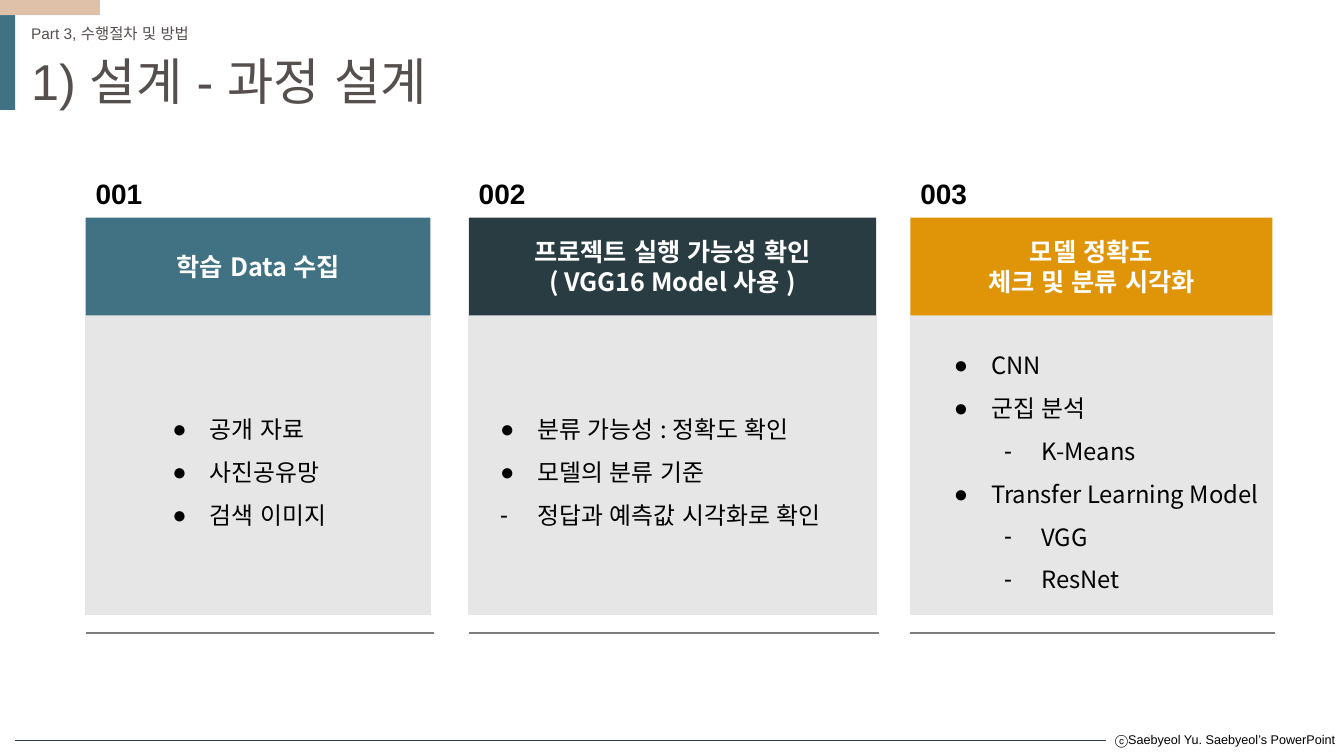
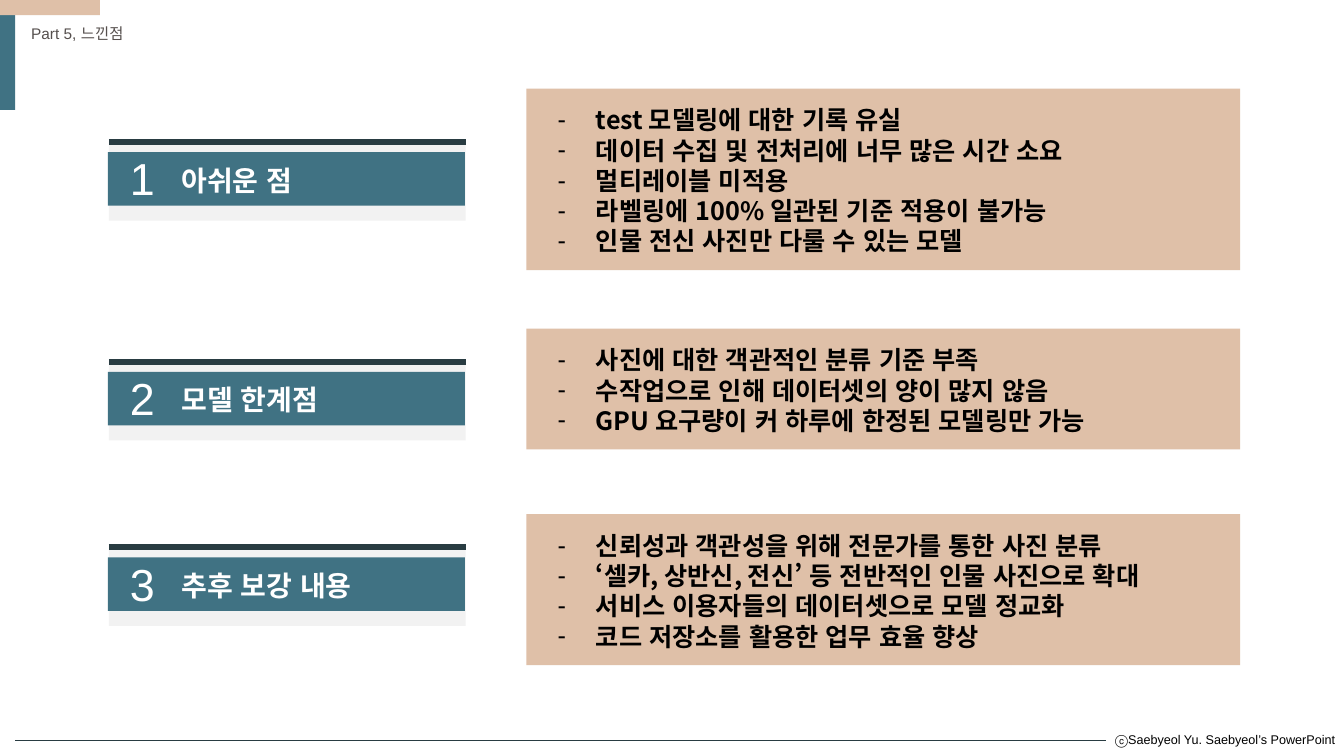
from lxml import etree
from pptx import Presentation, util as u
from pptx.dml.color import RGBColor
from pptx.enum import lang, shapes, text
from pptx.oxml.ns import qn

TEAL, DARK, AMBER, SAND = "407283", "293C42", "E09508", "DFC0A8"
GREY, PALE, RULE, INK = "E7E6E6", "F2F2F2", "7F7F7F", "554F4D"
BLACK, WHITE = "000000", "FFFFFF"
SANS, KOREAN = "Arial", "Noto Sans CJK KR"
BODY_INSETS = (0.1, 0.05, 0.1, 0.05)
LEFT, CENTER, RIGHT = text.PP_ALIGN.LEFT, text.PP_ALIGN.CENTER, text.PP_ALIGN.RIGHT

COLUMNS = [
    (0.85, 3.42, TEAL, ["학습 Data 수집"], 0.73,
     [("●", 0.5, "공개 자료"), ("●", 0.5, "사진공유망"), ("●", 0.5, "검색 이미지")]),
    (4.65, 4.04, DARK, ["프로젝트 실행 가능성 확인", "( VGG16 Model 사용 )"], 0.18,
     [("●", 0.5, "분류 가능성 : 정확도 확인"), ("●", 0.5, "모델의 분류 기준"),
      ("-", 0.5, "정답과 예측값 시각화로 확인")]),
    (9.03, 3.59, AMBER, ["모델 정확도", "체크 및 분류 시각화"], 0.3,
     [("●", 0.5, "CNN"), ("●", 0.5, "군집 분석"), ("-", 1, "K-Means"),
      ("●", 0.5, "Transfer Learning Model"), ("-", 1, "VGG"), ("-", 1, "ResNet")]),
]

SECTIONS = [
    (1.4, 0.88, "아쉬운 점",
     ["test 모델링에 대한 기록 유실", "데이터 수집 및 전처리에 너무 많은 시간 소요",
      "멀티레이블 미적용", "라벨링에 100% 일관된 기준 적용이 불가능",
      "인물 전신 사진만 다룰 수 있는 모델"]),
    (3.58, 3.26, "모델 한계점",
     ["사진에 대한 객관적인 분류 기준 부족", "수작업으로 인해 데이터셋의 양이 많지 않음",
      "GPU 요구량이 커 하루에 한정된 모델링만 가능"]),
    (5.42, 5.1, "추후 보강 내용",
     ["신뢰성과 객관성을 위해 전문가를 통한 사진 분류",
      "‘셀카, 상반신, 전신’ 등 전반적인 인물 사진으로 확대",
      "서비스 이용자들의 데이터셋으로 모델 정교화", "코드 저장소를 활용한 업무 효율 향상"]),
]


def rgb(color):
    """Turn a hex string into a colour."""
    return RGBColor.from_string(color)


def add_rect(s, x, y, w, h, fill, line=None):
    """Draw a flat rectangle."""
    sp = s.shapes.add_shape(shapes.MSO_SHAPE.RECTANGLE, *map(u.Inches, (x, y, w, h)))
    sp.shadow.inherit = False
    sp.fill.solid()
    sp.fill.fore_color.rgb = rgb(fill)
    if line:
        sp.line.color.rgb = rgb(line)
        sp.line.width = u.Pt(0.75)
    else:
        sp.line.fill.background()
    return sp


def add_line(s, x1, x2, y, color, width=0.75):
    """Draw a horizontal line."""
    sp = s.shapes.add_connector(shapes.MSO_CONNECTOR.STRAIGHT,
                                *map(u.Inches, (x1, y, x2, y)))
    sp.line.color.rgb = rgb(color)
    sp.line.width = u.Pt(width)
    etree.SubElement(sp._element.spPr, qn("a:effectLst"))


def set_frame(sp, insets, anchor):
    """Set the insets and anchor of a text frame."""
    tf = sp.text_frame
    tf.word_wrap = True
    tf.vertical_anchor = anchor
    tf.margin_left, tf.margin_top, tf.margin_right, tf.margin_bottom = map(u.Inches, insets)
    return tf


def add_paragraph(tf, words, size, color, bold=False, font=KOREAN, align=LEFT):
    """Write one paragraph, starting with the empty first one."""
    p = tf.paragraphs[0] if not tf.paragraphs[0].runs else tf.add_paragraph()
    p.alignment = align
    r = p.add_run()
    r.text = words
    r.font.size = u.Pt(size)
    r.font.bold = bold
    r.font.language_id = lang.MSO_LANGUAGE_ID.KOREAN
    r.font.color.rgb = rgb(color)
    r.font.name = font
    etree.SubElement(r.font._element, qn("a:ea"), typeface=KOREAN)
    return p


def set_bullet(p, mark, left, hanging):
    """Give a paragraph a black bullet with a hanging indent."""
    pPr = p._p.get_or_add_pPr()
    pPr.set("marL", str(u.Inches(left)))
    pPr.set("indent", str(-u.Inches(hanging)))
    etree.SubElement(etree.SubElement(pPr, qn("a:buClr")), qn("a:srgbClr"), val=BLACK)
    etree.SubElement(pPr, qn("a:buFont"), typeface=SANS)
    etree.SubElement(pPr, qn("a:buChar"), char=mark)


def add_label(s, x, y, w, h, words, size, color, bold=False, align=LEFT):
    """Add a one-line text box."""
    sp = s.shapes.add_textbox(*map(u.Inches, (x, y, w, h)))
    tf = set_frame(sp, BODY_INSETS, text.MSO_ANCHOR.TOP)
    add_paragraph(tf, words, size, color, bold, SANS, align)


def add_base(prs, part):
    """Add a slide with the shared bands, footer and part name."""
    s = prs.slides.add_slide(prs.slide_layouts[6])
    add_rect(s, 0, 0.1, 0.15, 0.99, TEAL)
    add_rect(s, 0, 0, 0.99, 0.15, SAND)
    add_line(s, 0.15, 10.97, 7.35, DARK)
    add_label(s, 10.74, 7.21, 2.6, 0.25, "ⓒSaebyeol Yu. Saebyeol’s PowerPoint", 9, BLACK,
              align=RIGHT)
    add_label(s, 0.21, 0.19, 2.63, 0.29, part, 11, INK)
    return s


def add_column(s, number, x, w, color, heading, inset, items):
    """Add a numbered column with a heading and a bullet list."""
    add_label(s, x, 1.7, 0.9, 0.44, f"{number:03}", 20, BLACK, True)
    sp = add_rect(s, x, 3.13, w, 2.97, GREY, GREY)
    tf = set_frame(sp, (inset, 0.1, 0.1, 0.1), text.MSO_ANCHOR.MIDDLE)
    for mark, left, words in items:
        p = add_paragraph(tf, words, 17, BLACK)
        p.line_spacing = 1.5
        set_bullet(p, mark, left, 0.37)
    sp = add_rect(s, x, 2.16, w, 0.97, color)
    tf = set_frame(sp, BODY_INSETS, text.MSO_ANCHOR.MIDDLE)
    for words in heading:
        add_paragraph(tf, words, 18, WHITE, True, align=CENTER)
    add_line(s, x, x + w + 0.03, 6.28, RULE)


def add_section(s, number, y, panel_y, heading, items):
    """Add a numbered heading with its panel of points."""
    add_rect(s, 1.08, y, 3.54, 0.79, PALE)
    add_line(s, 1.08, 4.62, y + 0.01, DARK, 4.5)
    add_rect(s, 1.07, y + 0.11, 3.54, 0.53, TEAL)
    add_label(s, 1.19, y + 0.05, 0.48, 0.64, str(number), 32, WHITE)
    add_label(s, 1.7, y + 0.17, 2.15, 0.44, heading, 20, WHITE, True)
    sp = add_rect(s, 5.22, panel_y, 7.08, 0.3 * len(items) + 0.3, SAND)
    tf = set_frame(sp, (0.19, 0.16, 0.1, 0.1), text.MSO_ANCHOR.TOP)
    for words in items:
        set_bullet(add_paragraph(tf, words, 18, BLACK, True), "-", 0.5, 0.38)


def main():
    """Build both slides and save them."""
    prs = Presentation()
    prs.slide_width, prs.slide_height = u.Inches(13.33), u.Inches(7.5)
    s = add_base(prs, "Part 3, 수행절차 및 방법")
    add_label(s, 0.21, 0.45, 7.27, 0.71, "1) 설계 - 과정 설계", 36, INK)
    for number, column in enumerate(COLUMNS, 1):
        add_column(s, number, *column)
    s = add_base(prs, "Part 5, 느낀점")
    for number, section in enumerate(SECTIONS, 1):
        add_section(s, number, *section)
    prs.save("out.pptx")


if __name__ == "__main__":
    main()
